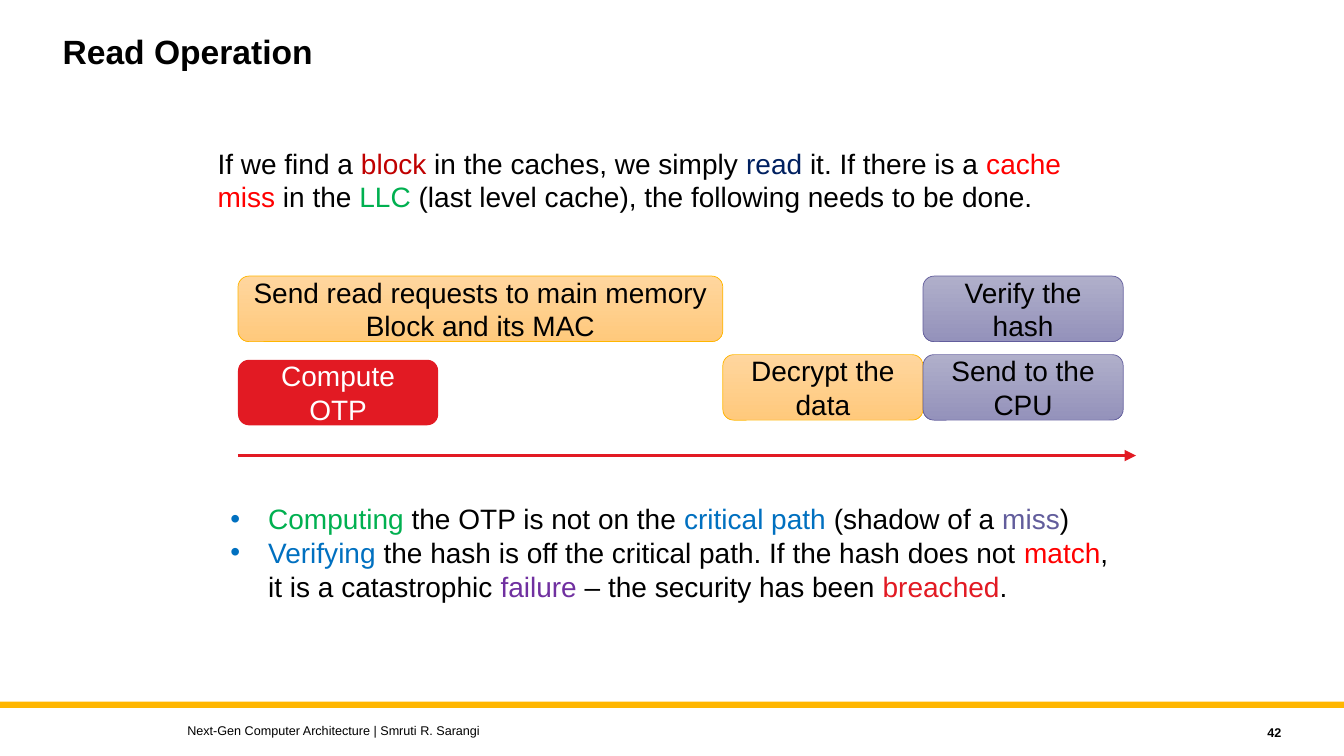
from lxml.etree import SubElement
from pptx import Presentation
from pptx.dml.color import RGBColor
from pptx.enum.shapes import MSO_CONNECTOR, MSO_SHAPE
from pptx.enum.text import MSO_ANCHOR, PP_ALIGN
from pptx.oxml.ns import qn
from pptx.util import Pt

BLACK = RGBColor(0x00, 0x00, 0x00)
WHITE = RGBColor(0xFF, 0xFF, 0xFF)
GOLD = RGBColor(0xFF, 0xB6, 0x00)
LIGHT_ORANGE = RGBColor(0xFF, 0xD6, 0x9E)
DARK_ORANGE = RGBColor(0xFF, 0xC9, 0x7C)
LIGHT_LAVENDER = RGBColor(0xB0, 0xAF, 0xCA)
DARK_LAVENDER = RGBColor(0x94, 0x92, 0xBB)
VIOLET = RGBColor(0x62, 0x5D, 0x9C)
CRIMSON = RGBColor(0xE2, 0x1A, 0x23)
DARK_RED = RGBColor(0xC0, 0x00, 0x00)
RED = RGBColor(0xFF, 0x00, 0x00)
NAVY = RGBColor(0x00, 0x20, 0x60)
GREEN = RGBColor(0x00, 0xB0, 0x50)
BLUE = RGBColor(0x00, 0x70, 0xC0)
PURPLE = RGBColor(0x70, 0x30, 0xA0)


def add_runs(paragraph, runs, size=20, bold=False):
    """Add (text, colour) runs; a newline in a text becomes a line break."""
    for text, color in runs:
        for index, line in enumerate(text.split("\n")):
            if index:
                paragraph.add_line_break()
            run = paragraph.add_run()
            run.text = line
            run.font.name = "Arial"
            run.font.size = Pt(size)
            run.font.bold = bold
            run.font.color.rgb = color


def add_text_frame(left, top, width, height, anchor=MSO_ANCHOR.TOP):
    text_box = slide.shapes.add_textbox(Pt(left), Pt(top), Pt(width), Pt(height))
    text_box.text_frame.word_wrap = True
    text_box.text_frame.vertical_anchor = anchor
    return text_box.text_frame


presentation = Presentation()
presentation.slide_width = Pt(960)
presentation.slide_height = Pt(540)
slide = presentation.slides.add_slide(presentation.slide_layouts[5])

# Footer band
band = slide.shapes.add_shape(MSO_SHAPE.RECTANGLE, 0, Pt(501.2), Pt(960), Pt(4.4))
band.shadow.inherit = False
band.fill.solid()
band.fill.fore_color.rgb = GOLD
band.line.fill.background()

# Title
title = slide.shapes.title
title.left, title.top, title.width, title.height = Pt(37.5), Pt(21.6), Pt(720), Pt(64.8)
title.text_frame.vertical_anchor = MSO_ANCHOR.TOP
title_paragraph = title.text_frame.paragraphs[0]
title_paragraph.alignment = PP_ALIGN.LEFT
title_paragraph.line_spacing = 0.9
add_runs(title_paragraph, [("Read Operation", BLACK)], size=24, bold=True)

# Introduction
introduction = add_text_frame(148.3, 100.8, 645, 64.8)
add_runs(introduction.paragraphs[0], [
    ("If we find a ", BLACK), ("block", DARK_RED),
    (" in the caches, we simply ", BLACK), ("read", NAVY),
    (" it. If there is a ", BLACK), ("cache miss ", RED),
    ("in the ", BLACK), ("LLC ", GREEN),
    ("(last level cache), the following needs to be done.", BLACK),
])

# Footer texts
footer = add_text_frame(126.7, 512.6, 576, 18, MSO_ANCHOR.MIDDLE)
add_runs(footer.paragraphs[0],
         [("Next-Gen Computer Architecture | Smruti R. Sarangi", BLACK)], size=9)
page_number = add_text_frame(821.5, 514.4, 100.8, 18, MSO_ANCHOR.MIDDLE)
page_number.paragraphs[0].alignment = PP_ALIGN.RIGHT
add_runs(page_number.paragraphs[0], [("42", BLACK)], size=9, bold=True)

# Time axis
time_axis = slide.shapes.add_connector(
    MSO_CONNECTOR.STRAIGHT, Pt(170), Pt(325.4), Pt(811.5), Pt(325.4))
time_axis.line.color.rgb = CRIMSON
time_axis.line.width = Pt(2.75)
SubElement(time_axis.line._get_or_add_ln(), qn("a:tailEnd"), type="triangle")
SubElement(time_axis._element.spPr, qn("a:effectLst"))

# Steps along the time axis
STEP_WIDTH, STEP_HEIGHT = 143, 46.8
START, DECRYPT, FINISH = 170, 516.3, 516.3 + STEP_WIDTH
UPPER_ROW, LOWER_ROW = 197.2, 253.3
ORANGE_STYLE = (LIGHT_ORANGE, DARK_ORANGE, GOLD, BLACK)
LAVENDER_STYLE = (LIGHT_LAVENDER, DARK_LAVENDER, VIOLET, BLACK)
RED_STYLE = (CRIMSON, None, None, WHITE)
steps = [
    ("Send read requests to main memory\nBlock and its MAC",
     START, UPPER_ROW, DECRYPT - START, ORANGE_STYLE),
    ("Compute OTP", START, 257, STEP_WIDTH, RED_STYLE),
    ("Decrypt the data", DECRYPT, LOWER_ROW, STEP_WIDTH, ORANGE_STYLE),
    ("Send to the CPU", FINISH, LOWER_ROW, STEP_WIDTH, LAVENDER_STYLE),
    ("Verify the hash", FINISH, UPPER_ROW, STEP_WIDTH, LAVENDER_STYLE),
]
for text, left, top, width, (top_color, bottom_color, line_color, text_color) in steps:
    step = slide.shapes.add_shape(
        MSO_SHAPE.ROUNDED_RECTANGLE, Pt(left), Pt(top), Pt(width), Pt(STEP_HEIGHT))
    step.shadow.inherit = False
    if bottom_color:
        step.fill.gradient()
        step.fill.gradient_angle = 270
        for stop, color, position in zip(
                step.fill.gradient_stops, (top_color, bottom_color), (0, 1)):
            stop.color.rgb = color
            stop.position = position
        step.line.color.rgb = line_color
        step.line.width = Pt(0.5)
    else:
        step.fill.solid()
        step.fill.fore_color.rgb = top_color
        step.line.fill.background()
    step.text_frame.word_wrap = True
    step.text_frame.vertical_anchor = MSO_ANCHOR.MIDDLE
    step.text_frame.paragraphs[0].alignment = PP_ALIGN.CENTER
    add_runs(step.text_frame.paragraphs[0], [(text, text_color)])

# Conclusions
conclusions = [
    [("Computing", GREEN), (" the OTP is not on the ", BLACK),
     ("critical path ", BLUE), ("(shadow of a ", BLACK),
     ("miss", VIOLET), (")", BLACK)],
    [("Verifying", BLUE),
     (" the hash is off the critical path. If the hash does not ", BLACK),
     ("match", RED), (",\nit is a catastrophic ", BLACK), ("failure", PURPLE),
     (" – the security has been ", BLACK), ("breached", CRIMSON), (".", BLACK)],
]
conclusion_frame = add_text_frame(157.5, 355, 645, 80)
for index, runs in enumerate(conclusions):
    paragraph = conclusion_frame.add_paragraph() if index else conclusion_frame.paragraphs[0]
    properties = paragraph._p.get_or_add_pPr()
    properties.set("marL", str(Pt(27)))
    properties.set("indent", str(Pt(-27)))
    bullet_color = SubElement(properties, qn("a:buClr"))
    SubElement(bullet_color, qn("a:srgbClr"), val=str(BLUE))
    SubElement(properties, qn("a:buFont"), typeface="Arial")
    SubElement(properties, qn("a:buChar"), char="•")
    add_runs(paragraph, runs)

presentation.save("out.pptx")
